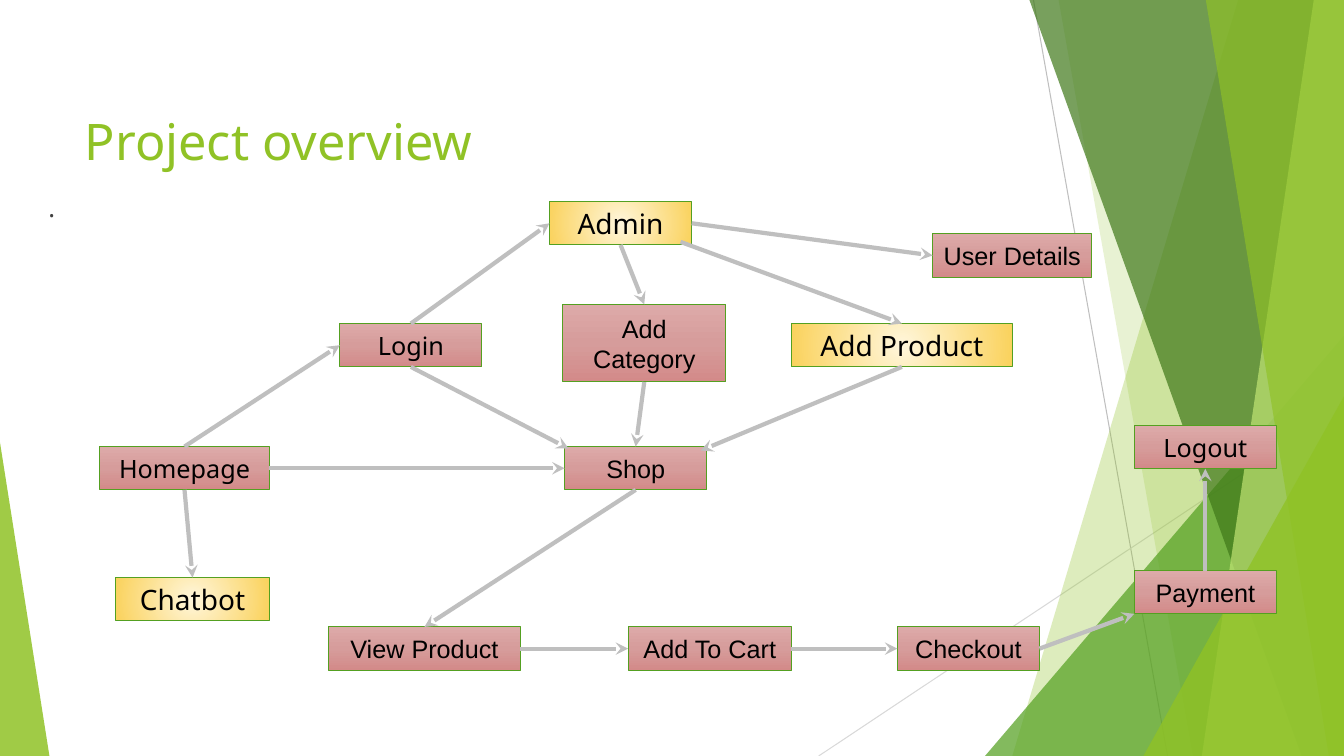
from lxml.etree import SubElement
from pptx import Presentation
from pptx.dml.color import RGBColor
from pptx.enum.shapes import MSO_CONNECTOR, MSO_SHAPE
from pptx.enum.text import MSO_ANCHOR, MSO_AUTO_SIZE, PP_ALIGN
from pptx.oxml import parse_xml
from pptx.oxml.ns import nsdecls, qn
from pptx.util import Inches, Pt

WIDTH, HEIGHT = 13.33, 7.5
TOP, LEFT, BOTTOM, RIGHT = range(4)  # connection sites of a rectangle


def color(hex_value):
    return RGBColor.from_string(hex_value)


def add_line(start, end, hex_value, width):
    line = slide.shapes.add_connector(
        MSO_CONNECTOR.STRAIGHT, *[Inches(value) for value in start + end])
    line.line.color.rgb = color(hex_value)
    line.line.width = Pt(width)
    SubElement(line._element.spPr, qn("a:effectLst"))
    return line


presentation = Presentation()
presentation.slide_width = Inches(WIDTH)
presentation.slide_height = Inches(HEIGHT)
slide = presentation.slides.add_slide(presentation.slide_layouts[1])

# Background lines and facets
add_line((10.25, 0), (11.58, HEIGHT), "BFBFBF", 0.75)
add_line((WIDTH, 4.03), (8.12, HEIGHT), "D9D9D9", 0.75)

# Bands give their left edge at top and bottom; triangles give left, top, width, apex
facets = [
    ("90C226", 30, (12.28, 10.04)),
    ("90C226", 20, (10.5, 11.83)),
    ("54A021", 72, (9.77, 3.33, 3.56, 1)),
    ("3F7819", 70, (10.21, 12.91)),
    ("C0E474", 70, (13.03, 11.92)),
    ("90C226", 65, (11.96, 13.18)),
    ("90C226", 80, (11.34, 3.93, 1.99, 1)),
    ("90C226", 85, (0, 4.39, 0.49, 0)),
]
for hex_value, opacity, geometry in facets:
    if len(geometry) == 2:
        top_x, bottom_x = geometry
        outline = slide.shapes.build_freeform(Inches(top_x), 0)
        corners = [(WIDTH, 0), (WIDTH, HEIGHT), (bottom_x, HEIGHT)]
        outline.add_line_segments([(Inches(x), Inches(y)) for x, y in corners])
        facet = outline.convert_to_shape()
    else:
        left, top, width, apex = geometry
        facet = slide.shapes.add_shape(
            MSO_SHAPE.ISOSCELES_TRIANGLE, Inches(left), Inches(top),
            Inches(width), Inches(HEIGHT - top))
        facet.adjustments[0] = apex
    facet.shadow.inherit = False
    facet.line.fill.background()
    facet.fill.solid()
    facet.fill.fore_color.rgb = color(hex_value)
    fill_color = facet._element.spPr.find(".//" + qn("a:srgbClr"))
    SubElement(fill_color, qn("a:alpha"), val=str(opacity * 1000))

# Title and body text
title, body = slide.shapes.title, slide.placeholders[1]
placeholder_formats = [
    (title, "Project overview", (0.74, 0.67, 9.4, 1.44), MSO_ANCHOR.MIDDLE, 36, "90C226"),
    (body, ".", (0.38, 1.86, 12.58, 5.23), MSO_ANCHOR.TOP, 18, "404040"),
]
for placeholder, text, box, anchor, size, hex_value in placeholder_formats:
    for name, value in zip(("left", "top", "width", "height"), box):
        setattr(placeholder, name, Inches(value))
    frame = placeholder.text_frame
    frame.text = text
    frame.auto_size = MSO_AUTO_SIZE.NONE
    frame.vertical_anchor = anchor
    paragraph = frame.paragraphs[0]
    paragraph.alignment = PP_ALIGN.LEFT
    paragraph.space_before = Pt(0)
    font_format = {"name": "Noto Sans", "size": Pt(size)}
    for name, value in font_format.items():
        setattr(paragraph.font, name, value)
    paragraph.font.color.rgb = color(hex_value)
properties = body.text_frame.paragraphs[0]._p.get_or_add_pPr()
for name in ("marL", "indent"):
    properties.set(name, "0")
properties.insert_element_before(
    parse_xml(f"<a:buNone {nsdecls('a')}/>"), "a:tabLst", "a:defRPr", "a:extLst")

# Box styles: gradient stops, gradient direction, font size
styles = {
    "page": ([(0, "DDAAA9"), (50, "D69C9B"), (100, "D38A89")],
             '<a:lin ang="5400000" scaled="0"/>', 18),
    "feature": ([(0, "FFF6DB"), (100, "FAD25C")],
                '<a:path path="circle"><a:fillToRect l="50000" t="50000" '
                'r="50000" b="50000"/></a:path>', 20),
}

# Flow boxes: text, left, top, width, height, style, font
boxes = [
    ("Login", 3.37, 3.21, 1.41, 0.43, "page", "Noto Sans"),
    ("Homepage", 0.99, 4.43, 1.68, 0.43, "page", "Noto Sans"),
    ("Shop", 5.6, 4.43, 1.41, 0.43, "page", "Arial"),
    ("User Details", 9.25, 2.32, 1.58, 0.43, "page", "Arial"),
    ("View Product", 3.26, 6.22, 1.9, 0.43, "page", "Arial"),
    ("Payment", 11.25, 5.66, 1.41, 0.43, "page", "Arial"),
    ("Add To Cart", 6.23, 6.22, 1.62, 0.43, "page", "Arial"),
    ("Checkout", 8.9, 6.22, 1.41, 0.43, "page", "Arial"),
    ("Admin", 5.45, 2, 1.41, 0.43, "feature", "Noto Sans"),
    ("Add Category", 5.58, 3.02, 1.62, 0.77, "page", "Arial"),
    ("Add Product", 7.85, 3.21, 2.19, 0.43, "feature", "Noto Sans"),
    ("Logout", 11.25, 4.22, 1.41, 0.43, "page", "Noto Sans"),
    ("Chatbot", 1.15, 5.73, 1.52, 0.43, "feature", "Noto Sans"),
]
flow = {}
for text, left, top, width, height, style, font_name in boxes:
    stops, direction, size = styles[style]
    shape = slide.shapes.add_shape(
        MSO_SHAPE.RECTANGLE, Inches(left), Inches(top), Inches(width), Inches(height))
    shape.shadow.inherit = False
    shape.line.color.rgb = color("54A021")
    shape.line.width = Pt(0.75)
    stop_xml = "".join(
        f'<a:gs pos="{position * 1000}"><a:srgbClr val="{hex_value}"/></a:gs>'
        for position, hex_value in stops)
    gradient = parse_xml(
        f'<a:gradFill {nsdecls("a")} rotWithShape="1">'
        f"<a:gsLst>{stop_xml}</a:gsLst>{direction}</a:gradFill>")
    shape._element.spPr.find(qn("a:prstGeom")).addnext(gradient)
    frame = shape.text_frame
    frame.text = text
    frame.word_wrap = True
    frame.vertical_anchor = MSO_ANCHOR.MIDDLE
    paragraph = frame.paragraphs[0]
    paragraph.alignment = PP_ALIGN.CENTER
    font_format = {"name": font_name, "size": Pt(size)}
    for name, value in font_format.items():
        setattr(paragraph.font, name, value)
    paragraph.font.color.rgb = color("000000")
    flow[text] = shape

# Arrows: each end is a box with a connection site, or a free point
arrows = [
    (("Homepage", TOP), ("Login", LEFT)),
    (("Homepage", RIGHT), ("Shop", LEFT)),
    (("Login", TOP), ("Admin", LEFT)),
    (("Admin", BOTTOM), ("Add Category", TOP)),
    ((6.75, 2.4), ("Add Product", TOP)),
    (("Admin", RIGHT), ("User Details", LEFT)),
    (("Login", BOTTOM), (5.64, 4.45)),
    (("Add Category", BOTTOM), ("Shop", TOP)),
    (("Add Product", BOTTOM), (6.95, 4.47)),
    (("Shop", BOTTOM), ("View Product", TOP)),
    (("View Product", RIGHT), ("Add To Cart", LEFT)),
    (("Add To Cart", RIGHT), ("Checkout", LEFT)),
    (("Checkout", RIGHT), (11.25, 6.09)),
    (("Payment", TOP), ("Logout", BOTTOM)),
    (("Homepage", BOTTOM), ("Chatbot", TOP)),
]
for start, end in arrows:
    points = [(0, 0) if point[0] in flow else point for point in (start, end)]
    arrow = add_line(*points, "BFBFBF", 3)
    for point, connect in ((start, arrow.begin_connect), (end, arrow.end_connect)):
        if point[0] in flow:
            connect(flow[point[0]], point[1])
    SubElement(arrow.line._get_or_add_ln(), qn("a:tailEnd"), type="stealth")

presentation.save("out.pptx")
